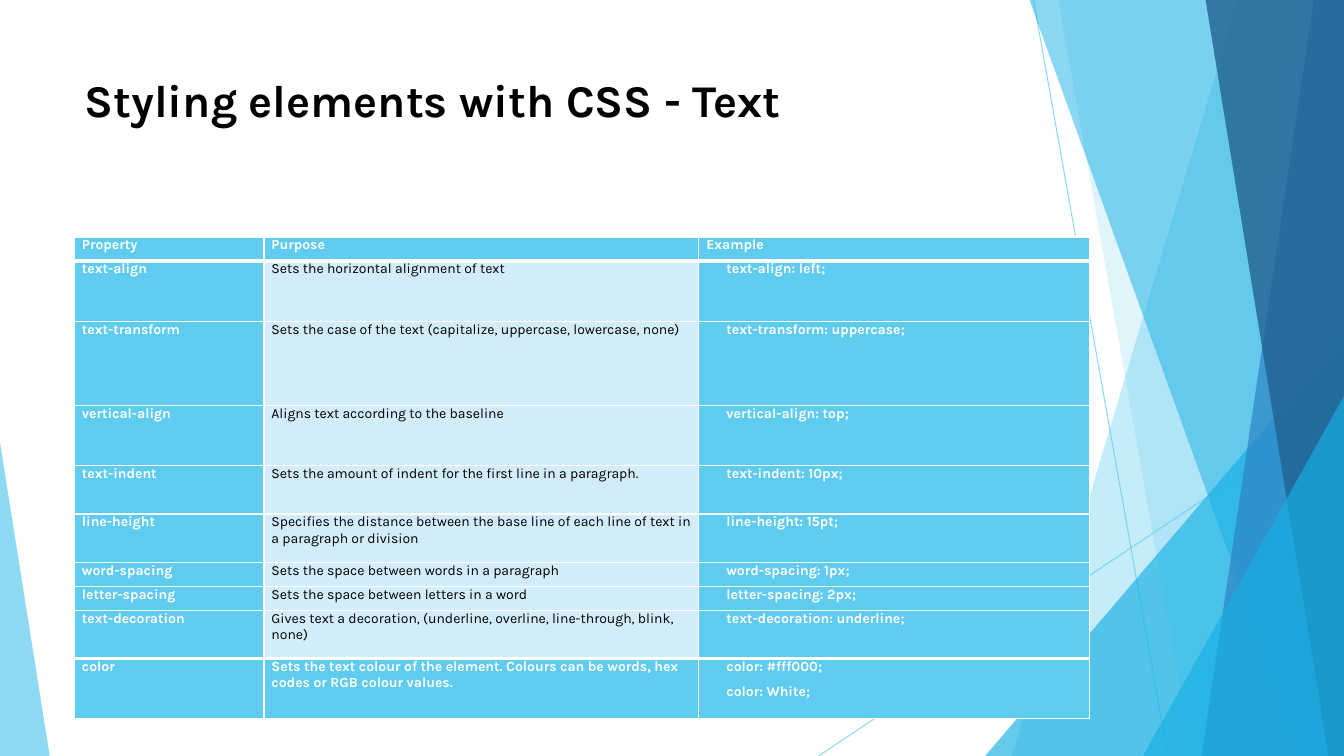
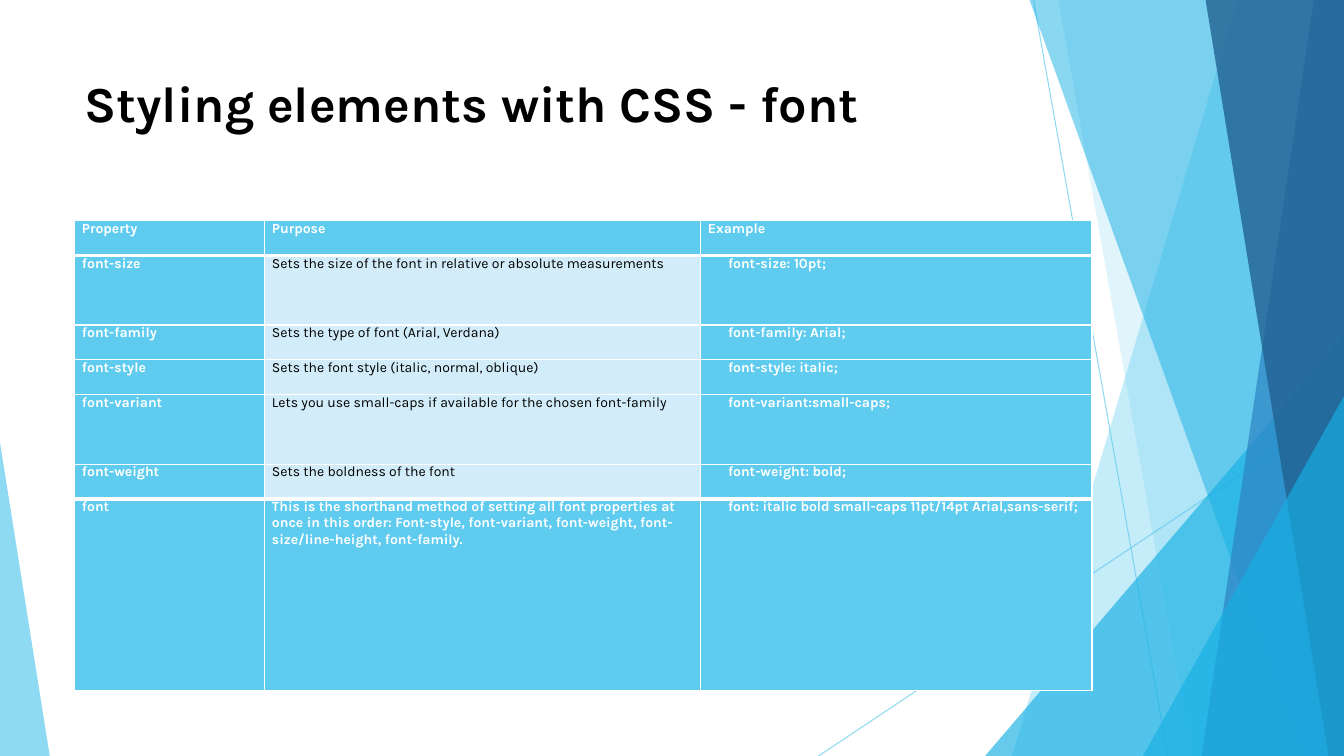
from dataclasses import dataclass

from lxml.etree import SubElement
from pptx import Presentation
from pptx.dml.color import RGBColor
from pptx.enum.shapes import MSO_CONNECTOR, MSO_SHAPE
from pptx.enum.text import MSO_ANCHOR
from pptx.oxml.ns import qn
from pptx.util import Inches, Pt

LINE = MSO_CONNECTOR.STRAIGHT
WEDGE = MSO_SHAPE.ISOSCELES_TRIANGLE
TOP = MSO_ANCHOR.TOP


@dataclass(frozen=True)
class Theme:
    font: str = "Karla"
    ink: str = "000000"
    white: str = "FFFFFF"
    sky: str = "5FCBEF"
    pale: str = "D2ECF9"
    cyan: str = "17B0E4"
    blue: str = "2E83C3"
    navy: str = "226292"
    body: float = 10
    gap: float = 6
    hair: float = 0.75
    thin: float = 1
    thick: float = 3


class Deck:
    """Draws slides in one style, with lengths as percent of the slide's size."""

    def __init__(self, theme):
        self.theme = theme
        self.show = Presentation()
        self.show.slide_width = Inches(13.33)
        self.show.slide_height = Inches(7.5)
        self.slide = None

    def x(self, share):
        return round(self.show.slide_width * share / 100)

    def y(self, share):
        return round(self.show.slide_height * share / 100)

    def fade(self, shape, alpha):
        color = shape.element.xpath(".//a:srgbClr")[0]
        SubElement(color, qn("a:alpha")).set("val", str(alpha * 1000))

    def paint(self, shape, color, alpha):
        shape.shadow.inherit = False
        shape.fill.solid()
        shape.fill.fore_color.rgb = RGBColor.from_string(color)
        shape.line.fill.background()
        self.fade(shape, alpha)

    def line(self, x1, y1, x2, y2):
        line = self.slide.shapes.add_connector(
            LINE, self.x(x1), self.y(y1), self.x(x2), self.y(y2))
        line.line.color.rgb = RGBColor.from_string(self.theme.sky)
        line.line.width = Pt(self.theme.hair)
        self.fade(line, 70)
        SubElement(line.element.spPr, qn("a:effectLst"))

    def facet(self, top, base, color, alpha):
        pen = self.slide.shapes.build_freeform(self.x(top), 0)
        ends = [(100, 0), (100, 100), (base, 100)]
        pen.add_line_segments([(self.x(x), self.y(y)) for x, y in ends])
        self.paint(pen.convert_to_shape(), color, alpha)

    def wedge(self, left, right, top, peak, color, alpha):
        shape = self.slide.shapes.add_shape(
            WEDGE, self.x(left), self.y(top),
            self.x(right - left), self.y(100 - top))
        shape.adjustments[0] = peak
        self.paint(shape, color, alpha)

    def page(self):
        t = self.theme
        self.slide = self.show.slides.add_slide(self.show.slide_layouts[6])
        self.line(76.9, 0, 86.9, 100)
        self.line(100, 53.7, 60.9, 100)
        self.facet(92.1, 75.3, t.sky, 36)
        self.facet(78.75, 88.7, t.sky, 20)
        self.wedge(73.3, 100, 44.4, 1, t.cyan, 66)
        self.facet(76.6, 96.85, t.cyan, 50)
        self.facet(97.75, 89.4, t.blue, 70)
        self.facet(89.7, 98.85, t.navy, 80)
        self.wedge(85.05, 100, 52.4, 1, t.cyan, 66)
        self.wedge(0, 3.7, 58.55, 0, t.sky, 70)

    def style(self, par, size, color, bold):
        par.font.name = self.theme.font
        par.font.size = Pt(size)
        par.font.bold = bold
        par.font.color.rgb = RGBColor.from_string(color)

    def title(self, text, size, high):
        box = self.slide.shapes.add_textbox(
            self.x(5.55), self.y(8.9), self.x(70.5), self.y(high))
        frame = box.text_frame
        frame.word_wrap = True
        frame.vertical_anchor = TOP
        frame.text = text
        self.style(frame.paragraphs[0], size, self.theme.ink, True)

    def edge(self, cell, side, width):
        props = cell._tc.get_or_add_tcPr()
        line = SubElement(props, qn("a:ln" + side), w=str(Pt(width)))
        fill = SubElement(line, qn("a:solidFill"))
        SubElement(fill, qn("a:srgbClr"), val=self.theme.white)

    def cell(self, cell, text, plain, inset, above, below):
        t = self.theme
        for side, width in zip("LRTB", (t.thin, t.thin, above, below)):
            self.edge(cell, side, width)
        cell.fill.solid()
        cell.fill.fore_color.rgb = RGBColor.from_string(t.pale if plain else t.sky)
        cell.margin_left = cell.margin_right = self.x(0.55)
        cell.margin_top = cell.margin_bottom = 0
        cell.vertical_anchor = TOP
        cell.text = text
        for par in cell.text_frame.paragraphs:
            self.style(par, t.body, t.ink if plain else t.white, not plain)
            par.space_after = Pt(t.gap)
            if inset:
                par._p.get_or_add_pPr().set("marL", str(self.x(1.5)))

    def table(self, top, wide, high, units, rows):
        t = self.theme
        cols = (14.1, 32.35, 29.05)
        last = len(rows) - 1
        grid = self.slide.shapes.add_table(
            len(rows), len(cols), self.x(5.55), self.y(top),
            self.x(wide), self.y(high)).table
        grid.first_row = grid.horz_banding = False
        for col, part in zip(grid.columns, cols):
            col.width = self.x(wide * part / sum(cols))
        for row, part in zip(grid.rows, units):
            row.height = self.y(high * part / sum(units))
        for i, row in enumerate(rows):
            above = t.thick if i in (1, last) else t.thin
            below = t.thick if i in (0, last - 1) else t.thin
            for j, text in enumerate(row):
                plain = j == 1 and 0 < i < last
                self.cell(grid.cell(i, j), text, plain, i > 0 and j == 2,
                          above, below)


HEAD = ("Property", "Purpose", "Example")
TEXT = [
    HEAD,
    ("text-align", "Sets the horizontal alignment of text", "text-align: left;"),
    ("text-transform",
     "Sets the case of the text (capitalize, uppercase, lowercase, none)",
     "text-transform: uppercase;"),
    ("vertical-align", "Aligns text according to the baseline",
     "vertical-align: top;"),
    ("text-indent", "Sets the amount of indent for the first line in a paragraph.",
     "text-indent: 10px;"),
    ("line-height",
     "Specifies the distance between the base line of each line of text "
     "in a paragraph or division",
     "line-height: 15pt;"),
    ("word-spacing", "Sets the space between words in a paragraph",
     "word-spacing: 1px;"),
    ("letter-spacing", "Sets the space between letters in a word",
     "letter-spacing: 2px;"),
    ("text-decoration",
     "Gives text a decoration, (underline, overline, line-through, blink, none)",
     "text-decoration: underline;"),
    ("color",
     "Sets the text colour of the element. Colours can be words, hex codes "
     "or RGB colour values.",
     "color: #fff000;\ncolor: White;"),
]
FONT = [
    HEAD,
    ("font-size", "Sets the size of the font in relative or absolute measurements",
     "font-size: 10pt;"),
    ("font-family", "Sets the type of font (Arial, Verdana)",
     "font-family: Arial;"),
    ("font-style", "Sets the font style (italic, normal, oblique)",
     "font-style: italic;"),
    ("font-variant",
     "Lets you use small-caps if available for the chosen font-family",
     "font-variant:small-caps;"),
    ("font-weight", "Sets the boldness of the font", "font-weight: bold;"),
    ("font",
     "This is the shorthand method of setting all font properties at once in "
     "this order: Font-style, font-variant, font-weight, "
     "font-size/line-height, font-family.",
     "font: italic bold small-caps 11pt/14pt Arial,sans-serif;"),
]


def main():
    deck = Deck(Theme())
    deck.page()
    deck.title("Styling elements with CSS - Text", 32.4, 11.35)
    deck.table(31.35, 75.5, 63.75, (2, 5, 7, 5, 4, 4, 2, 2, 4, 5), TEXT)
    deck.page()
    deck.title("Styling elements with CSS - font", 36, 13.05)
    deck.table(29.2, 75.7, 62.1, (1, 2, 1, 1, 2, 1, 5.5), FONT)
    deck.show.save("out.pptx")


if __name__ == "__main__":
    main()
